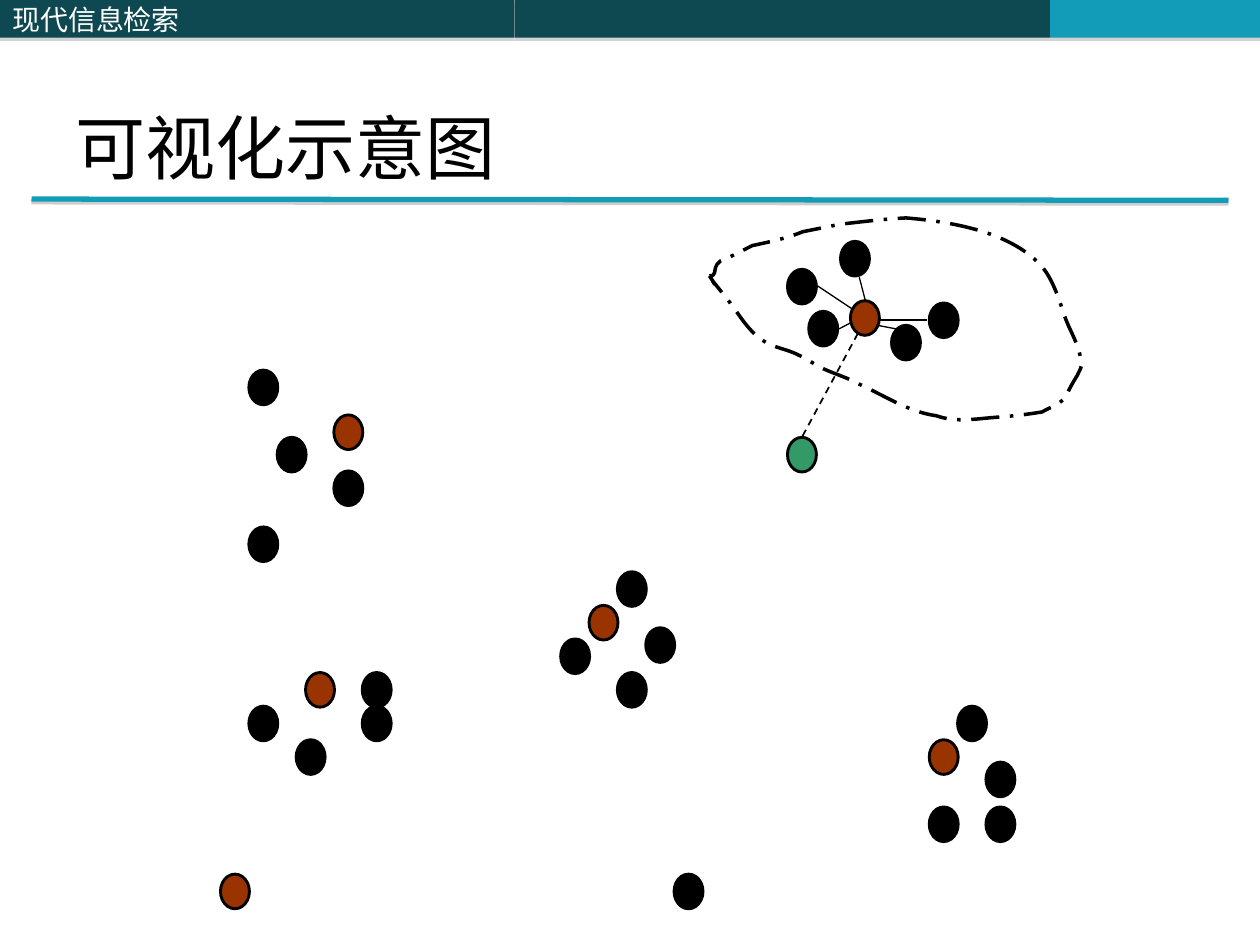
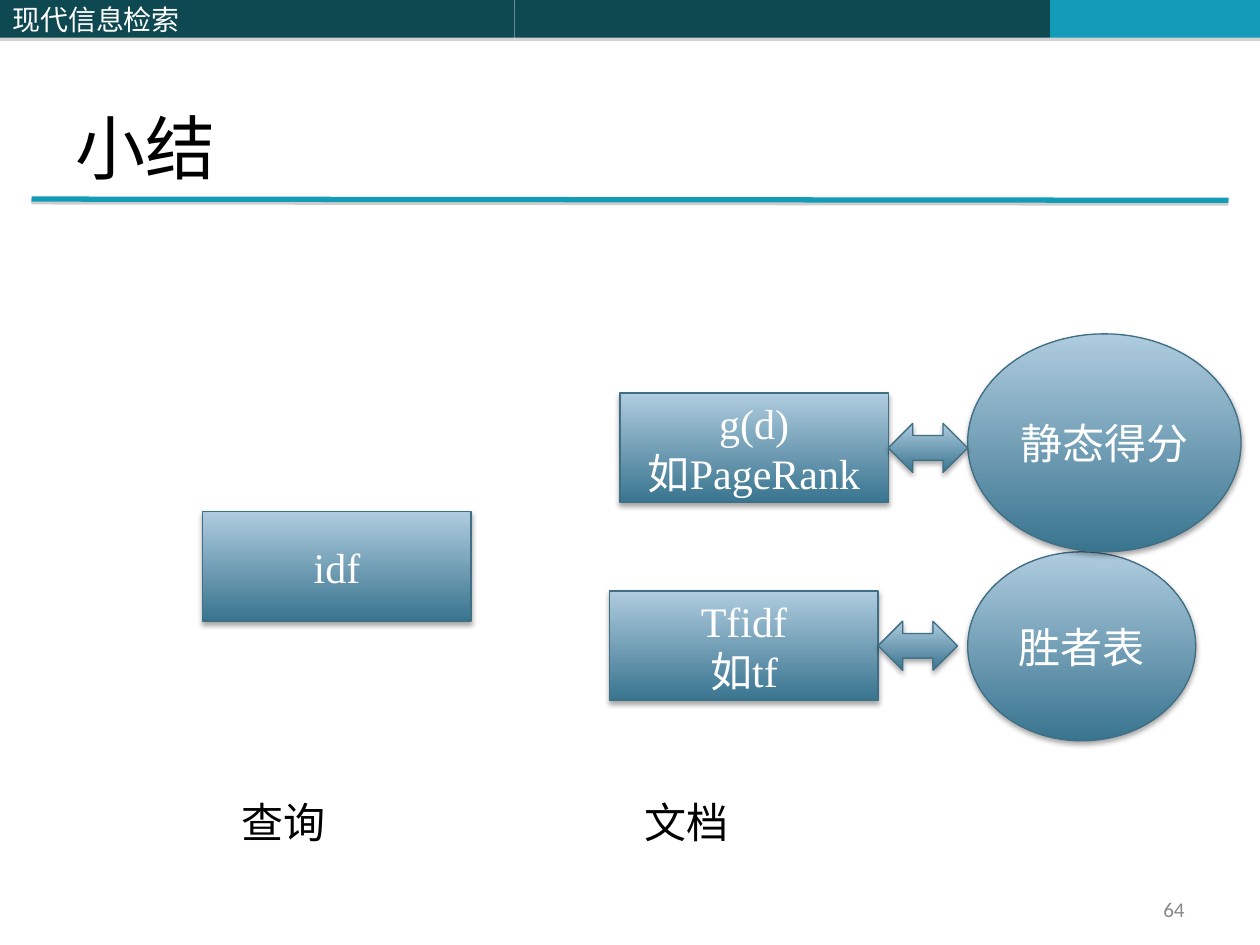
import lxml.etree
import pptx
import pptx.dml.color
import pptx.enum.dml
import pptx.enum.shapes
import pptx.enum.text
import pptx.oxml.ns
import pptx.util

SHAPE = pptx.enum.shapes.MSO_SHAPE
ALIGN = pptx.enum.text.PP_ALIGN
ANCHOR = pptx.enum.text.MSO_ANCHOR
DASH = pptx.enum.dml.MSO_LINE
Inches = pptx.util.Inches

# ---- Shared look ----
WIDTH, HEIGHT = 10, 7.5
DEEP, TEAL, BLACK, WHITE, GREY = "0E4851", "139CB7", "000000", "FFFFFF", "898989"
CENTROID, QUERY = "993300", "339966"
GRADIENT, EDGE = ("39748F", "AFCCDF"), "406E84"
SERIF, CJK = "Times New Roman", "Noto Sans CJK SC"
# Shadows: colour, opacity in percent, blur and distance in points
BAND_SHADOW = ("808080", 35, 0, 1.8)
RULE_SHADOW = ("808080", 38, 0, 1.6)
BOX_SHADOW = (BLACK, 35, 3.1, 1.8)

COURSE = "现代信息检索"
BAND_HEIGHT = HEIGHT / 25
COURSE_END, TEAL_START = WIDTH * 49 / 120, WIDTH * 5 / 6
BANDS = [  # left, right, colour, text
    (COURSE_END, TEAL_START, DEEP, None),
    (TEAL_START, WIDTH, TEAL, None),
    (0, COURSE_END, DEEP, COURSE),
]

# ---- Slide 1: clusters on a fine grid, as (column, row) ----
CLUSTER_TITLE = "可视化示意图"
GRID_LEFT, GRID_TOP, COLUMN, ROW = 1.75, 47 / 16, 9 / 40, 4 / 45
DOT = (0.23, 11 / 40)
CLUSTERS = [  # centroid, members
    ((4, 4), [(2, 6), (1, 0), (4, 9), (1, 14)]),
    ((3, 27), [(5, 30), (5, 27), (1, 30), (2.67, 33)]),
    ((13, 21), [(14, 18), (15, 23), (14, 27), (12, 24)]),
    ((25, 33), [(26, 30), (25, 39), (27, 35), (27, 39)]),
    ((0, 45), [(16, 45)]),
]
NEAREST = (22.22, -6.2)
NEIGHBOURS = [(20, -9), (20.75, -5.25), (23.67, -4), (25, -6), (21.87, -11.5)]
QUERY_SPOT = (20, 6)
SPOKES = [
    ((6.9, 2.57), (7.11, 2.61)),
    ((6.92, 2.54), (7.36, 2.54)),
    ((6.9, 2.51), (6.82, 2.2)),
    ((6.85, 2.51), (6.49, 2.27)),
    ((6.85, 2.51), (6.66, 2.61)),
]
QUERY_LINK = ((6.37, 3.46), (6.85, 2.57))
BOUNDARY_START = (5.63, 2.19)
BOUNDARY = [  # Bezier pieces: two control points and the end
    ((5.76, 2.38), (5.54, 2.08), (5.76, 2.36)),
    ((5.86, 2.48), (5.92, 2.61), (6.05, 2.7)),
    ((6.13, 2.76), (6.25, 2.77), (6.34, 2.82)),
    ((6.41, 2.85), (6.47, 2.9), (6.54, 2.93)),
    ((6.63, 2.97), (6.73, 3), (6.82, 3.05)),
    ((7.02, 3.14), (7.21, 3.27), (7.43, 3.3)),
    ((7.6, 3.36), (7.76, 3.32), (7.94, 3.31)),
    ((8.06, 3.3), (8.15, 3.29), (8.27, 3.27)),
    ((8.34, 3.23), (8.41, 3.21), (8.46, 3.15)),
    ((8.48, 3.09), (8.55, 2.98), (8.55, 2.98)),
    ((8.56, 2.95), (8.59, 2.92), (8.58, 2.88)),
    ((8.57, 2.74), (8.49, 2.63), (8.45, 2.51)),
    ((8.41, 2.39), (8.36, 2.23), (8.28, 2.13)),
    ((8.04, 1.84), (7.55, 1.76), (7.19, 1.73)),
    ((7, 1.74), (6.85, 1.76), (6.67, 1.78)),
    ((6.57, 1.8), (6.47, 1.82), (6.37, 1.84)),
    ((6.25, 1.89), (6.11, 1.92), (5.97, 1.95)),
    ((5.89, 1.99), (5.8, 2.04), (5.72, 2.07)),
    ((5.71, 2.09), (5.69, 2.09), (5.69, 2.1)),
    ((5.66, 2.15), (5.69, 2.19), (5.63, 2.19)),
]

# ---- Slide 2 ----
SUMMARY_TITLE = "小结"
BOX, ARROW = (2.13, 0.87), (0.63, 0.39)
SCORES = [  # preset, left, top, size, lines
    (SHAPE.RECTANGLE, 4.92, 3.12, BOX, ["g(d)", "如PageRank"]),
    (SHAPE.RECTANGLE, 4.84, 4.69, BOX, ["Tfidf", "如tf"]),
    (SHAPE.RECTANGLE, 1.61, 4.06, BOX, ["idf"]),
    (SHAPE.OVAL, 7.68, 4.38, (1.81, 1.5), ["胜者表"]),
    (SHAPE.OVAL, 7.68, 2.65, (2.17, 1.73), ["静态得分"]),
    (SHAPE.LEFT_RIGHT_ARROW, 6.97, 4.93, ARROW, []),
    (SHAPE.LEFT_RIGHT_ARROW, 7.05, 3.36, ARROW, []),
]
CAPTIONS = [("查询", 0.6), ("文档", 3.8)]  # text, tab stop
CAPTION_AT = (1.22, 6.27, 8.03, 0.5)
PAGE = ("64", (7.17, 7.08, 2.33, 0.27))


def rgb(value):
    """Turn a hex string into a colour."""
    return pptx.dml.color.RGBColor.from_string(value)


def assign(target, values):
    """Set each attribute of target named in values."""
    for key, value in values.items():
        setattr(target, key, value)


def element(parent, tag, **attributes):
    """Append a DrawingML child to parent."""
    child = lxml.etree.SubElement(parent, pptx.oxml.ns.qn("a:" + tag))
    for key, value in attributes.items():
        child.set(key, str(value))
    return child


def set_shadow(shape, shadow=None):
    """Replace the theme shadow by the given one, or by none."""
    effects = element(shape.element.spPr, "effectLst")
    if shadow:
        color, opacity, blur, distance = shadow
        outer = element(effects, "outerShdw", blurRad=pptx.util.Pt(blur),
                        dist=pptx.util.Pt(distance), dir=90 * 60000,
                        algn="ctr", rotWithShape=0)
        element(element(outer, "srgbClr", val=color), "alpha", val=opacity * 1000)


def write(shape, lines, size, color, font=SERIF, align=ALIGN.LEFT, anchor=ANCHOR.MIDDLE):
    """Fill a shape's text frame with formatted lines."""
    frame = shape.text_frame
    frame.text = "\n".join(lines)
    assign(frame, {"word_wrap": True, "vertical_anchor": anchor})
    for paragraph in frame.paragraphs:
        paragraph.alignment = align
        for run in paragraph.runs:
            assign(run.font, {"size": pptx.util.Pt(size), "name": font})
            run.font.color.rgb = rgb(color)


def set_line(line, color, width, dash=None):
    """Format an outline or a connector's line."""
    line.color.rgb = rgb(color)
    assign(line, {"width": pptx.util.Pt(width), "dash_style": dash})


def add_solid(slide, preset, at, color, outline=None, shadow=None):
    """Add a plainly filled preset shape."""
    shape = slide.shapes.add_shape(preset, *map(Inches, at))
    shape.fill.solid()
    shape.fill.fore_color.rgb = rgb(color)
    if outline:
        set_line(shape.line, BLACK, outline)
    else:
        shape.line.fill.background()
    set_shadow(shape, shadow)
    return shape


def add_line(slide, start, end, color, width, dash=None, shadow=None):
    """Add a straight connector."""
    line = slide.shapes.add_connector(
        pptx.enum.shapes.MSO_CONNECTOR.STRAIGHT, *map(Inches, start + end))
    set_line(line.line, color, width, dash)
    set_shadow(line, shadow)
    return line


def add_text(slide, at, text, size, color, **options):
    """Add a one-line text box."""
    label = slide.shapes.add_textbox(*map(Inches, at))
    write(label, [text], size, color, **options)
    return label


def add_slide(deck, layout, title):
    """Add a slide with its title placed and formatted."""
    slide = deck.slides.add_slide(layout)
    heading = slide.shapes.title
    assign(heading, {"left": Inches(0.5), "top": Inches(BAND_HEIGHT),
                     "width": Inches(9), "height": Inches(1.25)})
    write(heading, [title], 40, BLACK, anchor=ANCHOR.BOTTOM)
    return slide


def dress_layout(layout, slide):
    """Build the bands and title rule once and move them to the layout."""
    for holder in list(layout.placeholders)[1:]:
        layout.shapes.element.remove(holder.element)
    parts = []
    for left, right, color, text in BANDS:
        band = add_solid(slide, SHAPE.RECTANGLE, (left, 0, right - left, BAND_HEIGHT),
                         color, shadow=BAND_SHADOW)
        if text:
            write(band, [text], 16, WHITE, font=CJK)
        parts.append(band)
    parts.append(add_line(slide, (0.25, 1.58), (9.75, 1.59), TEAL, 3,
                          shadow=RULE_SHADOW))
    for part in parts:
        layout.shapes.element.append(part.element)


def add_dot(slide, spot, color):
    """Add a document dot at a grid spot."""
    column, row = spot
    place = (GRID_LEFT + column * COLUMN, GRID_TOP + row * ROW)
    add_solid(slide, SHAPE.OVAL, place + DOT, color, outline=1.63)


def add_boundary(slide):
    """Draw the dashed, curved outline round the nearest cluster."""
    builder = slide.shapes.build_freeform(*map(Inches, BOUNDARY_START), scale=1.0)
    points = [tuple(map(Inches, point)) for piece in BOUNDARY for point in piece]
    builder.add_line_segments(points, close=True)
    outline = builder.convert_to_shape()
    segments = list(outline.element.iter(pptx.oxml.ns.qn("a:lnTo")))
    for first in range(0, len(segments), 3):
        trio = segments[first:first + 3]
        curve = element(trio[0].getparent(), "cubicBezTo")
        trio[0].addprevious(curve)
        for segment in trio:
            curve.append(segment[0])
            segment.getparent().remove(segment)
    outline.fill.background()
    set_line(outline.line, BLACK, 2, DASH.LONG_DASH_DOT)
    set_shadow(outline)


def draw_clusters(slide):
    """Draw the clusters and the query linked to its nearest centroid."""
    for centroid, members in CLUSTERS:
        for member in members:
            add_dot(slide, member, BLACK)
        add_dot(slide, centroid, CENTROID)
    for neighbour in NEIGHBOURS:
        add_dot(slide, neighbour, BLACK)
    add_dot(slide, QUERY_SPOT, QUERY)
    for start, end in SPOKES:
        add_line(slide, start, end, BLACK, 0.75)
    add_line(slide, *QUERY_LINK, BLACK, 1, DASH.DASH)
    add_boundary(slide)
    add_dot(slide, NEAREST, CENTROID)


def draw_summary(slide):
    """Draw the score boxes, their arrows and captions."""
    for preset, left, top, size, lines in SCORES:
        shape = slide.shapes.add_shape(preset, *map(Inches, (left, top) + size))
        shape.fill.gradient()
        shape.fill.gradient_angle = 90
        for position, (stop, color) in enumerate(zip(shape.fill.gradient_stops, GRADIENT)):
            stop.position = position
            stop.color.rgb = rgb(color)
        set_line(shape.line, EDGE, 0.75)
        set_shadow(shape, BOX_SHADOW)
        if lines:
            write(shape, lines, 24, WHITE, align=ALIGN.CENTER)
    captions = add_text(slide, CAPTION_AT, "".join("\t" + text for text, _ in CAPTIONS),
                        24, BLACK, font="Noto Sans", anchor=ANCHOR.TOP)
    stops = element(captions.text_frame.paragraphs[0]._p.get_or_add_pPr(), "tabLst")
    for _, stop in CAPTIONS:
        element(stops, "tab", pos=Inches(stop), algn="l")
    number, at = PAGE
    add_text(slide, at, number, 12, GREY, font="Calibri", align=ALIGN.RIGHT)


def main():
    """Build and save the two slides."""
    deck = pptx.Presentation()
    assign(deck, {"slide_width": Inches(WIDTH), "slide_height": Inches(HEIGHT)})
    layout = deck.slide_layouts.get_by_name("Title Only")
    clusters = add_slide(deck, layout, CLUSTER_TITLE)
    dress_layout(layout, clusters)
    draw_clusters(clusters)
    draw_summary(add_slide(deck, layout, SUMMARY_TITLE))
    deck.save("out.pptx")


main()
